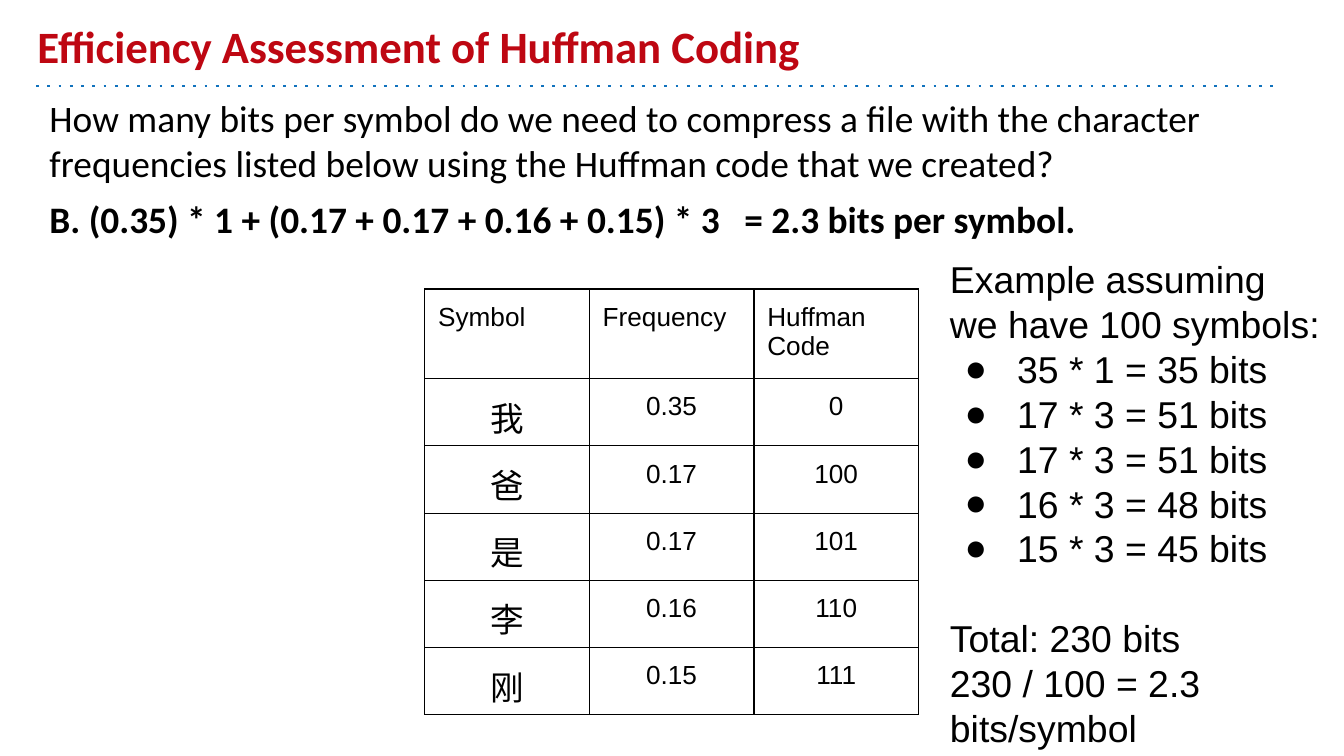
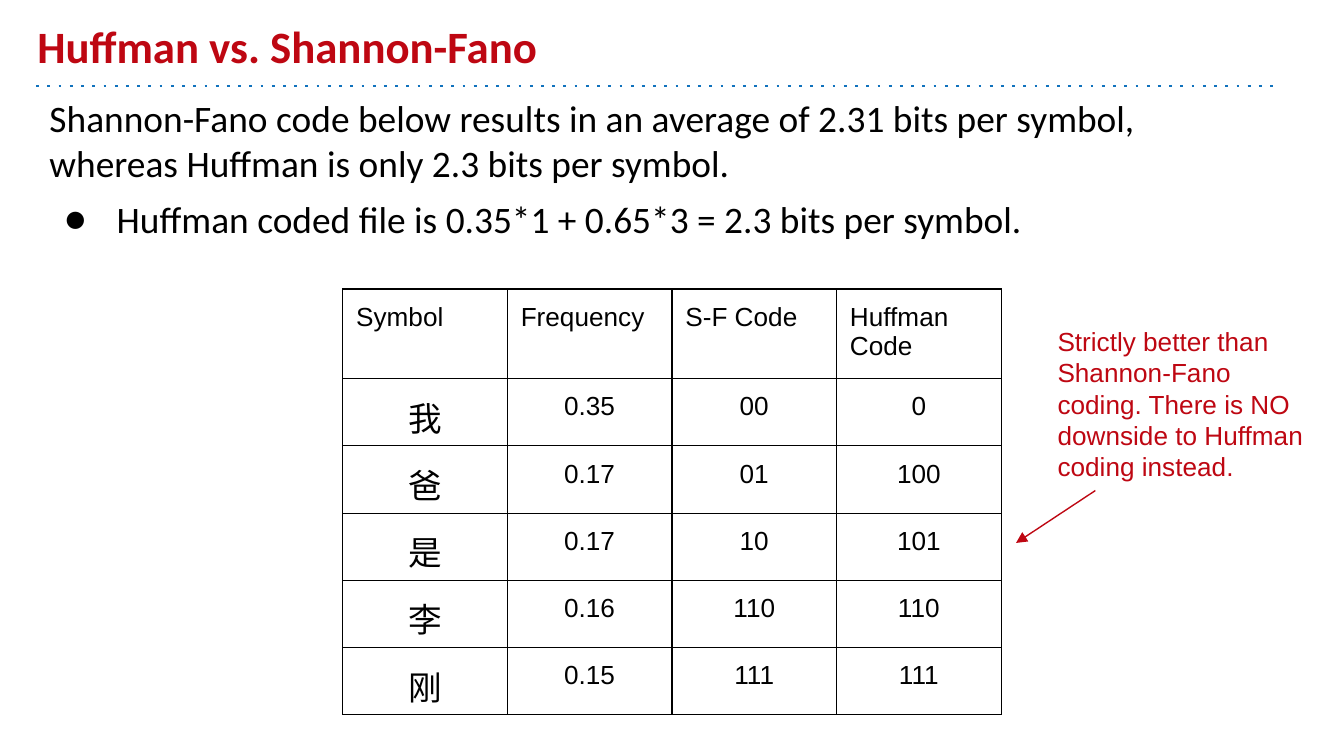
from lxml import etree
from pptx import Presentation
from pptx.dml.color import RGBColor
from pptx.enum.shapes import MSO_CONNECTOR
from pptx.enum.text import MSO_ANCHOR, PP_ALIGN
from pptx.oxml.ns import qn
from pptx.util import Inches, Pt

STRAIGHT = MSO_CONNECTOR.STRAIGHT
TOP, BOTTOM = MSO_ANCHOR.TOP, MSO_ANCHOR.BOTTOM
LEFT, CENTER = PP_ALIGN.LEFT, PP_ALIGN.CENTER

RED = RGBColor(0xBE, 0x07, 0x12)
BLUE = RGBColor(0x10, 0x72, 0xBD)
BLACK = RGBColor(0, 0, 0)
WHITE = RGBColor(255, 255, 255)
HEAD_FONT, BODY_FONT = "Calibri", "Arial"

INSET = 0.1
COL_W = Inches(4.9) // 4
ROW_H = Inches(0.41)

SYMBOLS = ["我", "爸", "是", "李", "刚"]
FREQUENCIES = ["0.35", "0.17", "0.17", "0.16", "0.15"]
HUFFMAN_CODES = ["0", "100", "101", "110", "111"]
SHANNON_FANO_CODES = ["00", "01", "10", "110", "111"]


def add_child(parent, tag, **attrs):
    child = etree.SubElement(parent, qn(tag))
    for name, value in attrs.items():
        child.set(name, str(value))
    return child


def add_run(p, text, size, font=BODY_FONT, color=BLACK, bold=False):
    r = p.add_run()
    r.text = text
    r.font.size = Pt(size)
    r.font.name = font
    r.font.color.rgb = color
    r.font.bold = bold


def add_bullet(p, font):
    pPr = p._p.get_or_add_pPr()
    pPr.set("marL", str(Inches(0.5)))
    pPr.set("indent", str(Inches(-0.39)))
    add_child(add_child(pPr, "a:buClr"), "a:srgbClr", val=BLACK)
    add_child(pPr, "a:buFont", typeface=font)
    add_child(pPr, "a:buChar", char="●")


def add_tab_stop(p, pos):
    tabs = add_child(p._p.get_or_add_pPr(), "a:tabLst")
    add_child(tabs, "a:tab", pos=Inches(pos), algn="l")


def add_textbox(slide, box, anchor=TOP):
    sp = slide.shapes.add_textbox(*map(Inches, box))
    tf = sp.text_frame
    tf.word_wrap = True
    tf.vertical_anchor = anchor
    tf.margin_left = tf.margin_right = Inches(INSET)
    tf.margin_top = tf.margin_bottom = Inches(INSET)
    return tf


def next_paragraph(tf):
    first = tf.paragraphs[0]
    return tf.add_paragraph() if first.runs else first


def add_line(slide, start, end, color, width):
    sp = slide.shapes.add_connector(STRAIGHT, *map(Inches, start + end))
    sp.line.color.rgb = color
    sp.line.width = Pt(width)
    spPr = sp._element.spPr
    add_child(spPr, "a:effectLst")
    return spPr.find(qn("a:ln"))


def add_title(slide, title):
    ln = add_line(slide, (0.27, 0.64), (9.5, 0.64), BLUE, 1.5)
    add_child(ln, "a:prstDash", val="dot")
    tf = add_textbox(slide, (0.18, 0.1, 9, 0.54), BOTTOM)
    add_run(tf.paragraphs[0], title, 24, HEAD_FONT, RED, True)


def add_body(slide, box, intro, result, bold=False, bullet=False, tab=None):
    tf = add_textbox(slide, box)
    for text, strong in ((intro, False), (result, bold)):
        p = next_paragraph(tf)
        p.space_before = Pt(6)
        add_run(p, text, 20, HEAD_FONT, bold=strong)
    if bullet:
        add_bullet(p, HEAD_FONT)
    if tab:
        add_tab_stop(p, tab)


def add_borders(cell):
    tcPr = cell._tc.get_or_add_tcPr()
    for side in "LRTB":
        ln = add_child(tcPr, "a:ln" + side, w=Pt(0.75))
        add_child(add_child(ln, "a:solidFill"), "a:srgbClr", val=BLACK)


def fill_cell(cell, text, is_header, is_symbol):
    cell.margin_left = cell.margin_right = Inches(INSET)
    cell.margin_top = cell.margin_bottom = Inches(INSET)
    add_borders(cell)
    if is_header:
        cell.fill.background()
    else:
        cell.fill.solid()
        cell.fill.fore_color.rgb = WHITE
    p = cell.text_frame.paragraphs[0]
    p.alignment = LEFT if is_header else CENTER
    if is_symbol:
        add_run(p, text, 18, HEAD_FONT)
    else:
        add_run(p, text, 14)


def add_code_table(slide, left, top, columns):
    rows = [list(columns), *zip(*columns.values())]
    frame = slide.shapes.add_table(
        len(rows), len(columns), Inches(left), Inches(top),
        COL_W * len(columns), ROW_H * len(rows))
    table = frame.table
    table.first_row = table.horz_banding = False
    for col in table.columns:
        col.width = COL_W
    for i, row in enumerate(rows):
        table.rows[i].height = ROW_H
        for j, text in enumerate(row):
            fill_cell(table.cell(i, j), text, i == 0, i > 0 and j == 0)


def add_worked_example(slide, box):
    tf = add_textbox(slide, box)
    products = ["35 * 1 = 35", "17 * 3 = 51", "17 * 3 = 51",
                "16 * 3 = 48", "15 * 3 = 45"]
    lines = ["Example assuming we have 100 symbols:",
             *(product + " bits" for product in products),
             "Total: 230 bits", "230 / 100 = 2.3 bits/symbol"]
    for i, text in enumerate(lines):
        p = next_paragraph(tf)
        add_run(p, text, 20)
        if 1 <= i <= len(products):
            add_bullet(p, BODY_FONT)
        elif text.startswith("Total"):
            p.space_before = Pt(24)


def add_callout(slide, box, text):
    left, top = box[:2]
    p = add_textbox(slide, box).paragraphs[0]
    add_run(p, text, 14, color=RED)
    start = (left + 0.38, top + 1.33)
    end = (left - 0.21, top + 1.72)
    ln = add_line(slide, start, end, RED, 0.75)
    add_child(ln, "a:tailEnd", type="triangle")


def build_efficiency_slide(slide):
    add_title(slide, "Efficiency Assessment of Huffman Coding")
    add_body(slide, (0.27, 0.61, 9.23, 1.15),
             "How many bits per symbol do we need to compress a file with the "
             "character frequencies listed below using the Huffman code that "
             "we created?",
             "B. (0.35) * 1 + (0.17 + 0.17 + 0.16 + 0.15) * 3\t"
             "= 2.3 bits per symbol.", bold=True, tab=5.17)
    add_code_table(slide, 3.16, 2.15, {
        "Symbol": SYMBOLS, "Frequency": FREQUENCIES,
        "Huffman Code": HUFFMAN_CODES})
    add_worked_example(slide, (6.97, 1.81, 2.96, 3.23))


def build_comparison_slide(slide):
    add_title(slide, "Huffman vs. Shannon-Fano")
    add_body(slide, (0.27, 0.61, 9.23, 1.32),
             "Shannon-Fano code below results in an average of 2.31 bits per "
             "symbol, whereas Huffman is only 2.3 bits per symbol.",
             "Huffman coded file is 0.35*1 + 0.65*3 = 2.3 bits per symbol.",
             bullet=True)
    add_code_table(slide, 2.55, 2.15, {
        "Symbol": SYMBOLS, "Frequency": FREQUENCIES,
        "S-F Code": SHANNON_FANO_CODES, "Huffman Code": HUFFMAN_CODES})
    add_callout(slide, (7.77, 2.32, 2.11, 0.77),
                "Strictly better than Shannon-Fano coding. There is NO "
                "downside to Huffman coding instead.")


def main():
    prs = Presentation()
    prs.slide_width = Inches(10)
    prs.slide_height = prs.slide_width * 9 // 16
    blank = prs.slide_layouts[6]
    for build in (build_efficiency_slide, build_comparison_slide):
        build(prs.slides.add_slide(blank))
    prs.save("out.pptx")


if __name__ == "__main__":
    main()
